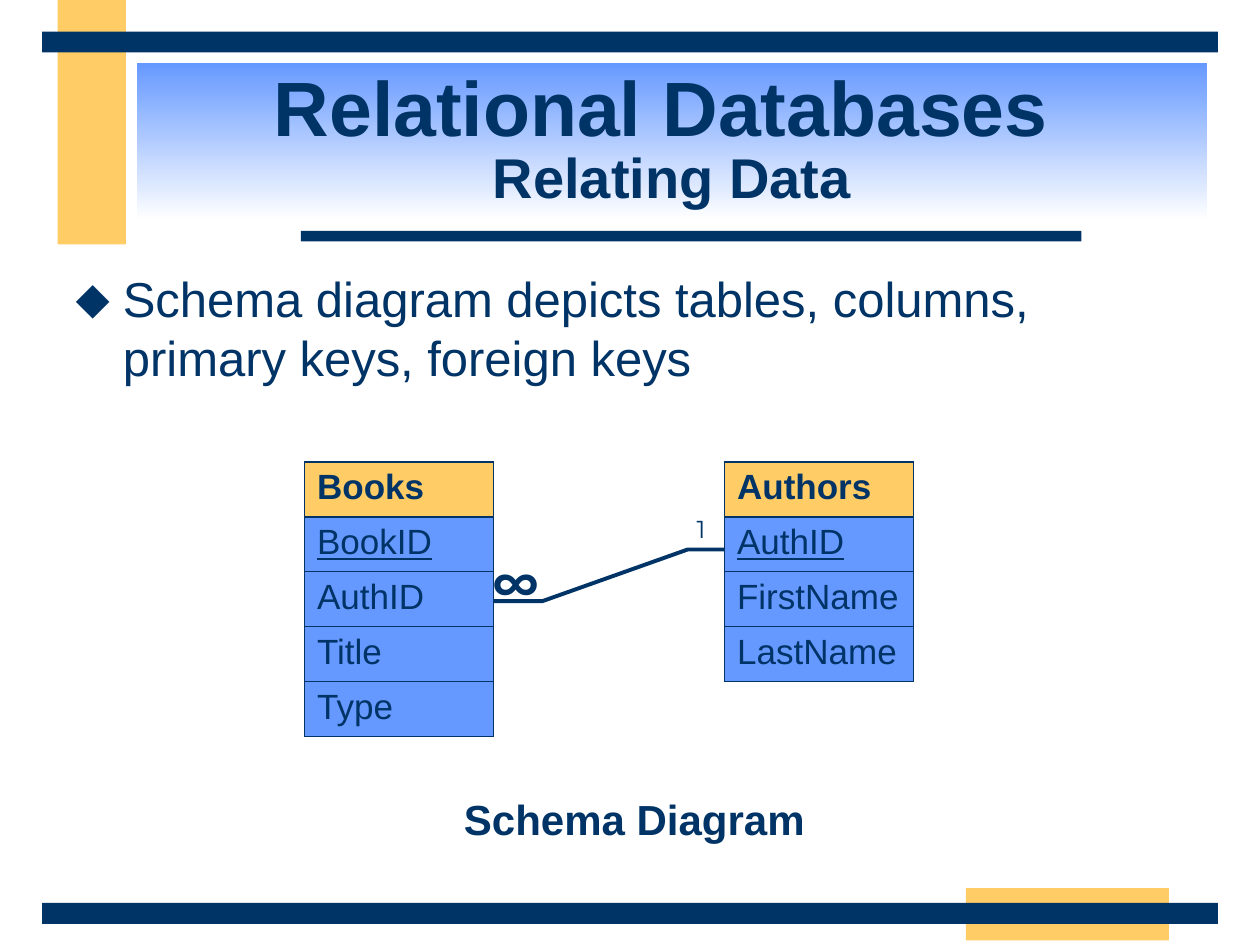
from lxml import etree
from pptx import Presentation
from pptx import util as u
from pptx.dml import color as dml
from pptx.enum import shapes, text
from pptx.oxml import ns

NAVY, GOLD, BLUE, WHITE = "003366", "FFCC66", "6699FF", "FFFFFF"
ROW_HEIGHT, TABLE_WIDTH, TABLE_TOP = 31.43, 108, 264


def rgb(value):
    return dml.RGBColor.from_string(value)


def box(left, top, width, height):
    return [u.Pt(value) for value in (left, top, width, height)]


def place(shape, *bounds):
    shape.left, shape.top, shape.width, shape.height = box(*bounds)


def format_font(font, size, name="Arial", bold=False, underline=False):
    font.size, font.name = u.Pt(size), name
    font.bold, font.underline = bold, underline
    font.color.rgb = rgb(NAVY)


def add_bar(slide, color, *bounds):
    bar = slide.shapes.add_shape(shapes.MSO_SHAPE.RECTANGLE, *box(*bounds))
    bar.shadow.inherit = False
    bar.fill.solid()
    bar.fill.fore_color.rgb = rgb(color)
    bar.line.fill.background()


def set_title(slide, heading, subheading):
    title = slide.shapes.title
    place(title, 78, 36, 612, 90)
    title.fill.gradient()
    title.fill.gradient_angle = 270
    for stop, position, color in zip(title.fill.gradient_stops, (0, 1), (BLUE, WHITE)):
        stop.position, stop.color.rgb = position, rgb(color)
    frame = title.text_frame
    frame.auto_size = text.MSO_AUTO_SIZE.NONE
    frame.vertical_anchor = text.MSO_ANCHOR.MIDDLE
    frame.text = f"{heading} \v{subheading}"
    paragraph = frame.paragraphs[0]
    paragraph.alignment = text.PP_ALIGN.CENTER
    paragraph.line_spacing = 0.85
    for run, size in zip(paragraph.runs, (44, 32)):
        format_font(run.font, size, bold=True)


def add_bullet(paragraph, character, indent):
    properties = paragraph._p.get_or_add_pPr()
    properties.set("marL", str(u.Pt(indent)))
    properties.set("indent", str(-u.Pt(indent)))
    bullet_color = etree.SubElement(properties, ns.qn("a:buClr"))
    etree.SubElement(bullet_color, ns.qn("a:srgbClr"), val=NAVY)
    etree.SubElement(properties, ns.qn("a:buChar"), char=character)


def set_body(slide, content):
    body = slide.placeholders[1]
    place(body, 36, 150, 630, 84)
    frame = body.text_frame
    frame.auto_size = text.MSO_AUTO_SIZE.NONE
    frame.text = content
    paragraph = frame.paragraphs[0]
    paragraph.space_before = u.Pt(0)
    add_bullet(paragraph, "⬥", 27)
    for run in paragraph.runs:
        format_font(run.font, 28)


def add_label(slide, content, bounds, size, **style):
    frame = slide.shapes.add_textbox(*box(*bounds)).text_frame
    frame.word_wrap = False
    frame.auto_size = text.MSO_AUTO_SIZE.SHAPE_TO_FIT_TEXT
    frame.text = content
    format_font(frame.paragraphs[0].runs[0].font, size, **style)


def add_relation(slide, points):
    start, *rest = [(u.Pt(x), u.Pt(y)) for x, y in points]
    builder = slide.shapes.build_freeform(*start)
    builder.add_line_segments(rest, close=False)
    line = builder.convert_to_shape()
    line.shadow.inherit = False
    line.fill.background()
    line.line.color.rgb = rgb(NAVY)
    line.line.width = u.Pt(2.25)


def add_borders(cell):
    properties = cell._tc.get_or_add_tcPr()
    for index, side in enumerate(("lnL", "lnR", "lnT", "lnB")):
        border = etree.Element(ns.qn(f"a:{side}"), w=str(u.Pt(0.75)))
        fill = etree.SubElement(border, ns.qn("a:solidFill"))
        etree.SubElement(fill, ns.qn("a:srgbClr"), val=NAVY)
        properties.insert(index, border)


def add_entity(slide, left, name, primary_key, *columns):
    rows = [name, primary_key, *columns]
    bounds = box(left, TABLE_TOP, TABLE_WIDTH, ROW_HEIGHT * len(rows))
    table = slide.shapes.add_table(len(rows), 1, *bounds).table
    table.horz_banding = table.first_row = False
    for index, content in enumerate(rows):
        table.rows[index].height = u.Pt(ROW_HEIGHT)
        cell = table.cell(index, 0)
        cell.fill.solid()
        cell.fill.fore_color.rgb = rgb(BLUE if index else GOLD)
        add_borders(cell)
        cell.text_frame.text = content
        run = cell.text_frame.paragraphs[0].runs[0]
        format_font(run.font, 20, bold=index == 0, underline=index == 1)


def main():
    presentation = Presentation()
    presentation.slide_width, presentation.slide_height = u.Pt(720), u.Pt(540)
    slide = presentation.slides.add_slide(presentation.slide_layouts[1])

    # Decorative bars
    add_bar(slide, GOLD, 33, 0, 39, 139.75)
    add_bar(slide, GOLD, 552, 507.5, 116, 30)
    add_bar(slide, NAVY, 172, 132, 446, 6)
    for top in (18, 516):
        add_bar(slide, NAVY, 24, top, 672, 12)

    # Title and bullet
    set_title(slide, "Relational Databases", "Relating Data")
    set_body(slide, "Schema diagram depicts tables, columns, \vprimary keys, foreign keys")

    # Relationship line, its cardinalities and the caption
    add_relation(slide, [(281, 343.5), (310, 343.5), (393, 314), (417, 314)])
    add_label(slide, "1", (391, 290, 22, 24.5), 14, name="Montserrat")
    add_label(slide, "∞", (274.5, 313, 37.5, 41), 28, name="Montserrat", bold=True)
    add_label(slide, "Schema Diagram", (258, 450, 209.5, 36), 24, bold=True)

    # Entity tables
    add_entity(slide, 174, "Books", "BookID", "AuthID", "Title", "Type")
    add_entity(slide, 414, "Authors", "AuthID", "FirstName", "LastName")

    presentation.save("out.pptx")


if __name__ == "__main__":
    main()
